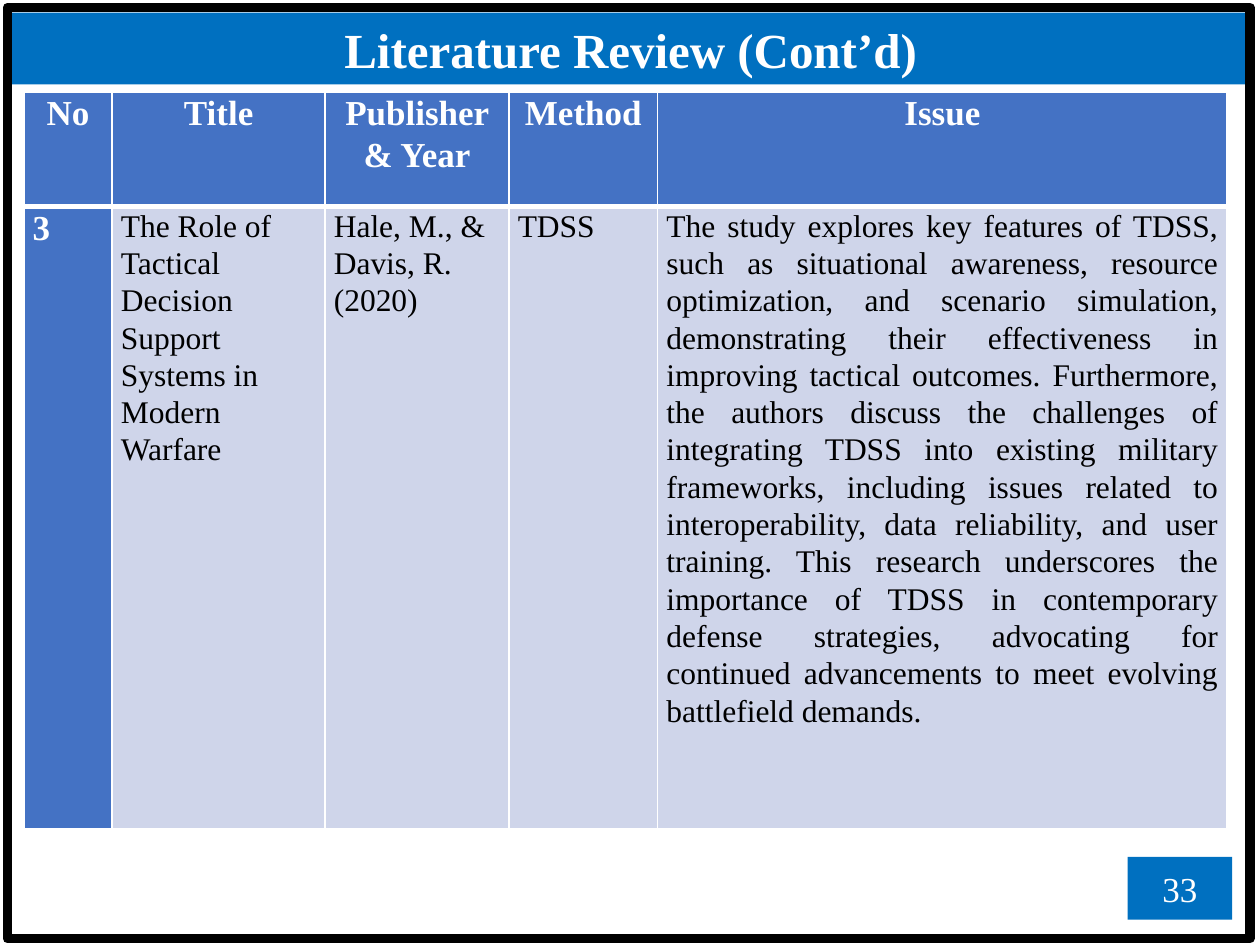
from lxml import etree
from pptx import Presentation
from pptx.dml.color import RGBColor
from pptx.enum import shapes, text
from pptx.oxml.ns import qn
from pptx.util import Inches, Pt

FONT = "Times New Roman"
HUES = {"bar": "0070C0", "head": "4472C4", "body": "CFD5EA",
        "light": "FFFFFF", "dark": "000000"}
TITLE = "Literature Review (Cont’d)"
PAGE = "33"
HEADS = ["No", "Title", "Publisher & Year", "Method", "Issue"]
STUDY = [
    "3",
    "The Role of Tactical Decision Support Systems in Modern Warfare",
    "Hale, M., & Davis, R. (2020)",
    "TDSS",
    "The study explores key features of TDSS, such as situational awareness, "
    "resource optimization, and scenario simulation, demonstrating their "
    "effectiveness in improving tactical outcomes. Furthermore, the authors "
    "discuss the challenges of integrating TDSS into existing military "
    "frameworks, including issues related to interoperability, data "
    "reliability, and user training. This research underscores the importance "
    "of TDSS in contemporary defense strategies, advocating for continued "
    "advancements to meet evolving battlefield demands.",
]
COLS = [0.7, 1.69, 1.46, 1.18, 4.52]
ROWS = [0.91, 4.94]
ALIGN = text.PP_ALIGN


def color(name):
    return RGBColor.from_string(HUES[name])


def fill(item, name):
    item.fill.solid()
    item.fill.fore_color.rgb = color(name)


def write(frame, words, size, hue="light", bold=False, align=ALIGN.CENTER):
    para = frame.paragraphs[0]
    para.alignment = align
    run = para.add_run()
    run.text = words
    font = run.font
    font.name, font.size, font.bold = FONT, Pt(size), bold
    font.color.rgb = color(hue)
    return para


def edge(cell, base):
    """Draw white cell borders, with the bottom one base points wide."""
    props = cell._tc.get_or_add_tcPr()
    for spot, side in enumerate("LRTB"):
        wide = base if side == "B" else 1
        line = etree.Element(qn(f"a:ln{side}"), w=str(Pt(wide)))
        paint = etree.SubElement(line, qn("a:solidFill"))
        etree.SubElement(paint, qn("a:srgbClr"), val=HUES["light"])
        props.insert(spot, line)


def add_rect(slide, *box):
    rect = slide.shapes.add_shape(shapes.MSO_SHAPE.RECTANGLE, *map(Inches, box))
    rect.shadow.inherit = False
    return rect


def add_title(slide):
    title = slide.shapes.title
    title.left, title.top = Inches(0.09), Inches(0.1)
    title.width, title.height = Inches(9.83), Inches(0.57)
    fill(title, "bar")
    frame = title.text_frame
    frame.auto_size = text.MSO_AUTO_SIZE.NONE
    frame.vertical_anchor = text.MSO_ANCHOR.MIDDLE
    write(frame, TITLE, 28, bold=True)


def add_review(slide):
    box = map(Inches, (0.19, 0.73, sum(COLS), sum(ROWS)))
    table = slide.shapes.add_table(len(ROWS), len(COLS), *box).table
    for col, wide in zip(table.columns, COLS):
        col.width = Inches(wide)
    for row, high in zip(table.rows, ROWS):
        row.height = Inches(high)
    for r, line in enumerate([HEADS, STUDY]):
        for c, words in enumerate(line):
            cell = table.cell(r, c)
            cell.margin_left = cell.margin_right = Inches(0.07)
            cell.margin_top = cell.margin_bottom = 0
            key = r == 0 or c == 0
            fill(cell, "head" if key else "body")
            edge(cell, 3 if r == 0 else 1)
            if r == 0:
                align = ALIGN.CENTER
            else:
                align = ALIGN.JUSTIFY if c == len(COLS) - 1 else ALIGN.LEFT
            para = write(cell.text_frame, words, 20 if key else 18,
                         "light" if key else "dark", key, align)
            para.line_spacing = 1.07
            para.space_after = Pt(8)


def add_frame(slide):
    rect = add_rect(slide, 0.06, 0.06, 9.86, 7.39)
    rect.fill.background()
    rect.line.color.rgb = color("dark")
    rect.line.width = Pt(5.5)


def add_page(slide):
    rect = add_rect(slide, 8.95, 6.8, 0.83, 0.5)
    fill(rect, "bar")
    rect.line.fill.background()
    rect.text_frame.vertical_anchor = text.MSO_ANCHOR.MIDDLE
    write(rect.text_frame, PAGE, 20)


def main():
    deck = Presentation()
    deck.slide_width, deck.slide_height = Inches(10), Inches(7.5)
    slide = deck.slides.add_slide(deck.slide_layouts[5])
    add_title(slide)
    add_review(slide)
    add_frame(slide)
    add_page(slide)
    deck.save("out.pptx")


if __name__ == "__main__":
    main()
